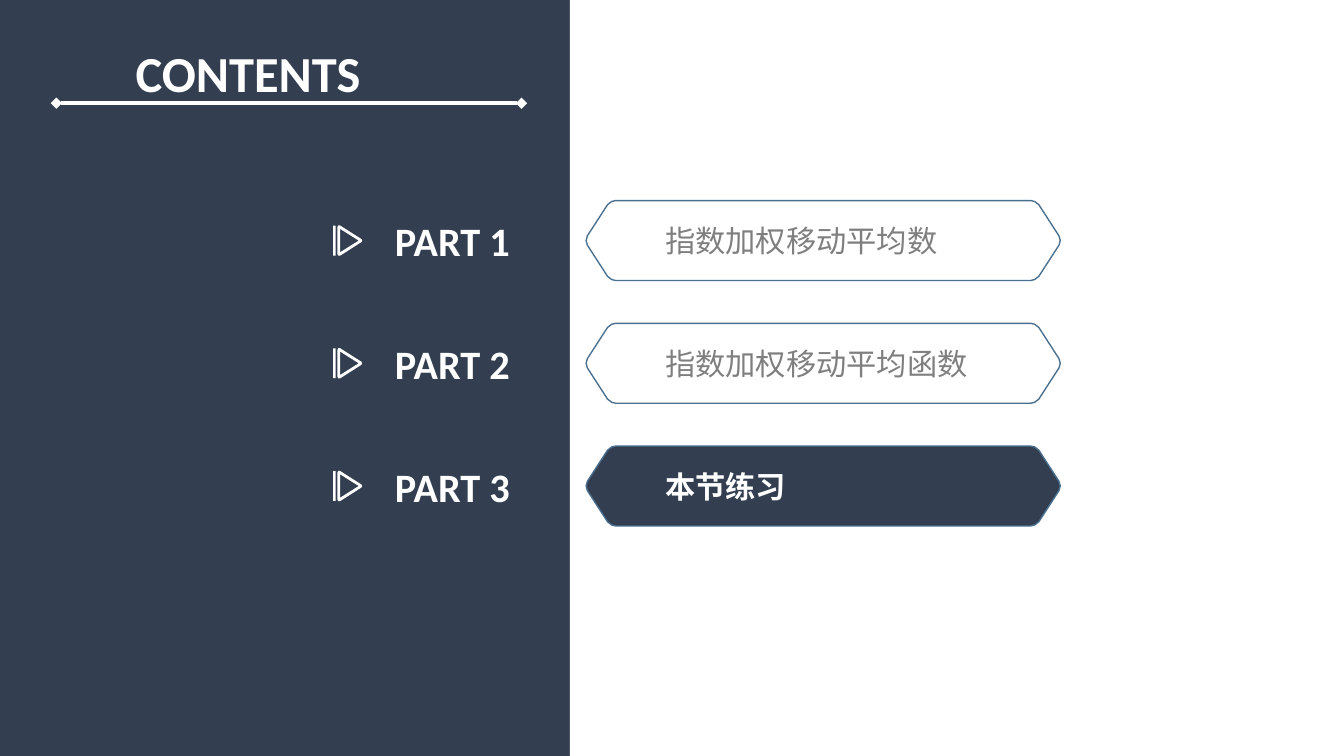
from dataclasses import dataclass

from lxml import etree
from pptx import Presentation
from pptx import util as u
from pptx.dml.color import RGBColor
from pptx.enum import shapes, text
from pptx.oxml import ns

Pt = u.Pt


@dataclass(frozen=True)
class Theme:
    navy = RGBColor(0x33, 0x3F, 0x50)
    white = RGBColor(0xFF, 0xFF, 0xFF)
    grey = RGBColor(0x7F, 0x7F, 0x7F)
    edge = RGBColor(0x4A, 0x70, 0x90)
    latin = "Calibri"
    chinese = "Noto Sans CJK SC"
    title_size = 27
    part_size = 21.6
    topic_size = 16.2


theme = Theme()


def write(page, words, left, middle, width, height, font, size, color, bold):
    """Put one line of text in a box centred on the given height."""
    box = page.shapes.add_textbox(Pt(left), Pt(middle - height / 2), Pt(width), Pt(height))
    frame = box.text_frame
    frame.word_wrap = True
    frame.vertical_anchor = text.MSO_ANCHOR.MIDDLE
    span = frame.paragraphs[0].add_run()
    span.text = words
    span.font.name = font
    span.font.size = Pt(size)
    span.font.bold = bold
    span.font.color.rgb = color
    east_asian = etree.SubElement(span.font._element, ns.qn("a:ea"))
    east_asian.set("typeface", font)


def draw_outline(page, contours, middle, fill, edge):
    """Draw closed contours whose heights are measured from the row's middle."""
    contours = [[(Pt(x), Pt(middle + y)) for x, y in points] for points in contours]
    builder = page.shapes.build_freeform(*contours[0][0], scale=1.0)
    builder.add_line_segments(contours[0][1:], close=True)
    for points in contours[1:]:
        builder.move_to(*points[0])
        builder.add_line_segments(points[1:], close=True)
    shape = builder.convert_to_shape()
    shape.shadow.inherit = False
    if fill is None:
        shape.fill.background()
    else:
        shape.fill.solid()
        shape.fill.fore_color.rgb = fill
    if edge is None:
        shape.line.fill.background()
    else:
        shape.line.color.rgb = edge
        shape.line.width = Pt(0.75)


deck = Presentation()
deck.slide_width, deck.slide_height = Pt(720), Pt(405)
page = deck.slides.add_slide(deck.slide_layouts[6])

# Navy background with a white panel on the right
page.background.fill.solid()
page.background.fill.fore_color.rgb = theme.navy
panel = page.shapes.add_shape(shapes.MSO_SHAPE.RECTANGLE, Pt(305.3), 0, Pt(414.7), Pt(405))
panel.shadow.inherit = False
panel.fill.solid()
panel.fill.fore_color.rgb = theme.white
panel.line.fill.background()

# Title and its rule with diamond ends
write(page, "CONTENTS", 65.5, 39, 265.7, 40.3,
      theme.latin, theme.title_size, theme.white, True)
rule = page.shapes.add_connector(shapes.MSO_CONNECTOR.STRAIGHT,
                                 Pt(30.2), Pt(55.3), Pt(279.4), Pt(55.3))
rule.line.color.rgb = theme.white
rule.line.width = Pt(2)
rule_line = rule.line._get_or_add_ln()
for end in ("a:headEnd", "a:tailEnd"):
    etree.SubElement(rule_line, ns.qn(end)).set("type", "diamond")
etree.SubElement(rule._element.spPr, ns.qn("a:effectLst"))

# Softened hexagon: one quarter, mirrored down and then across
hexagon_center, half_width = 441, 127
quarter = [(-15.8, -21.4), (-13.7, -20.9), (-11.5, -19.2), (-0.7, -2.5), (0, 0)]
right = [(half_width + x, y) for x, y in quarter]
right += [(x, -y) for x, y in reversed(right[:-1])]
hexagon = [(hexagon_center + x, y) for x, y in right]
hexagon += [(hexagon_center - x, y) for x, y in reversed(right)]

# Play icon: triangle, its hole and a bar
upper = [(180.8, -7.2), (181.2, -8.1), (182.2, -8.1), (193.7, -0.8), (194.1, 0)]
triangle = upper + [(x, -y) for x, y in reversed(upper[:-1])]
hole = [(182.2, -6.3), (192.2, 0), (182.2, 6.3)]
bar = [(178.5, -8), (179.8, -8), (179.8, 8), (178.5, 8)]

# Rows of parts; the last one is the current topic
topics = ["指数加权移动平均数", "指数加权移动平均函数", "本节练习"]
for number, topic in enumerate(topics, 1):
    middle = 128.9 + 65.75 * (number - 1)
    current = number == len(topics)
    draw_outline(page, [hexagon], middle, theme.navy if current else None, theme.edge)
    draw_outline(page, [triangle, hole, bar], middle, theme.white, None)
    write(page, f"PART {number}", 204.5, middle, 109.4, 33.1,
          theme.latin, theme.part_size, theme.white, True)
    write(page, topic, 349.2, middle, 180, 26.6, theme.chinese, theme.topic_size,
          theme.white if current else theme.grey, current)

deck.save("out.pptx")
